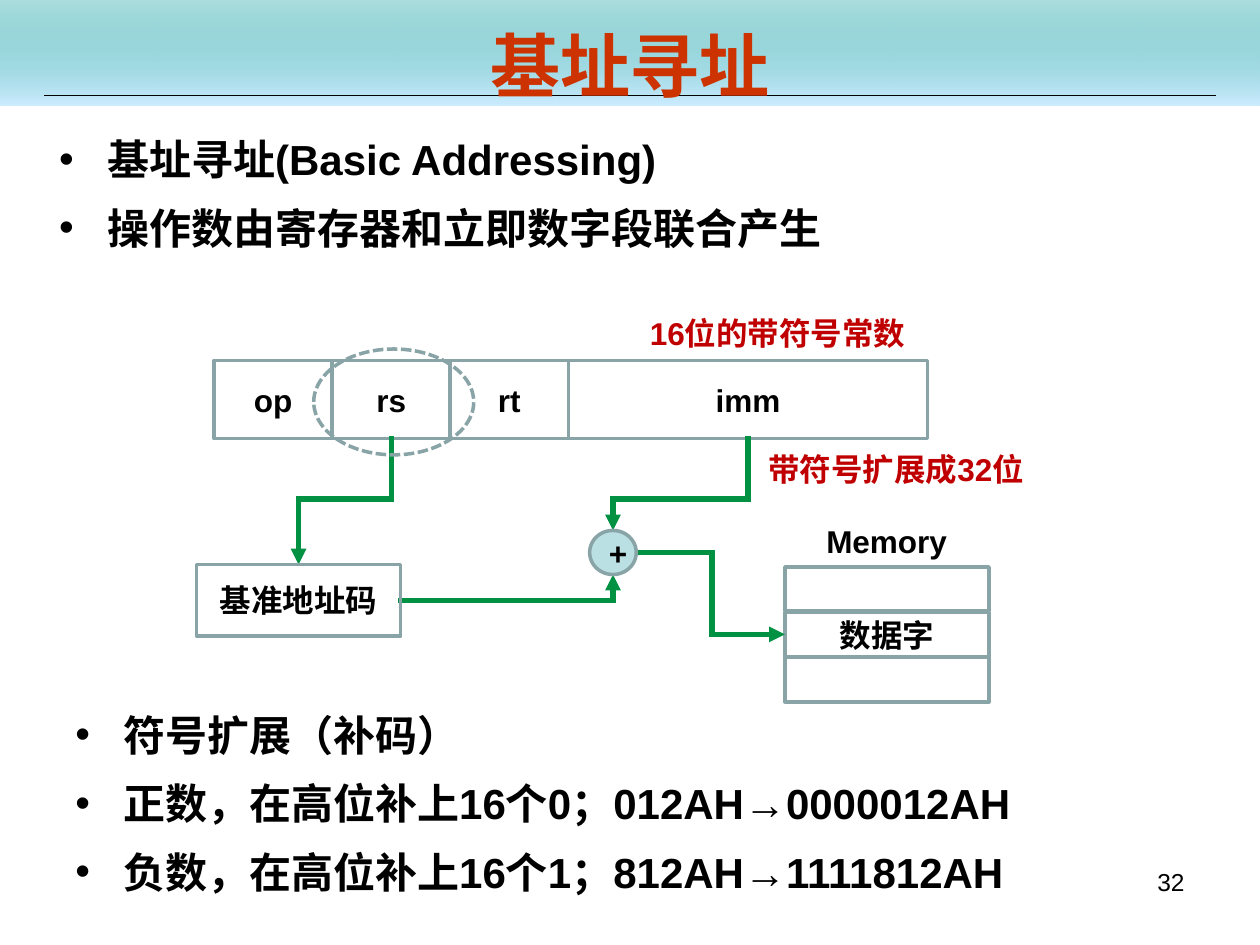
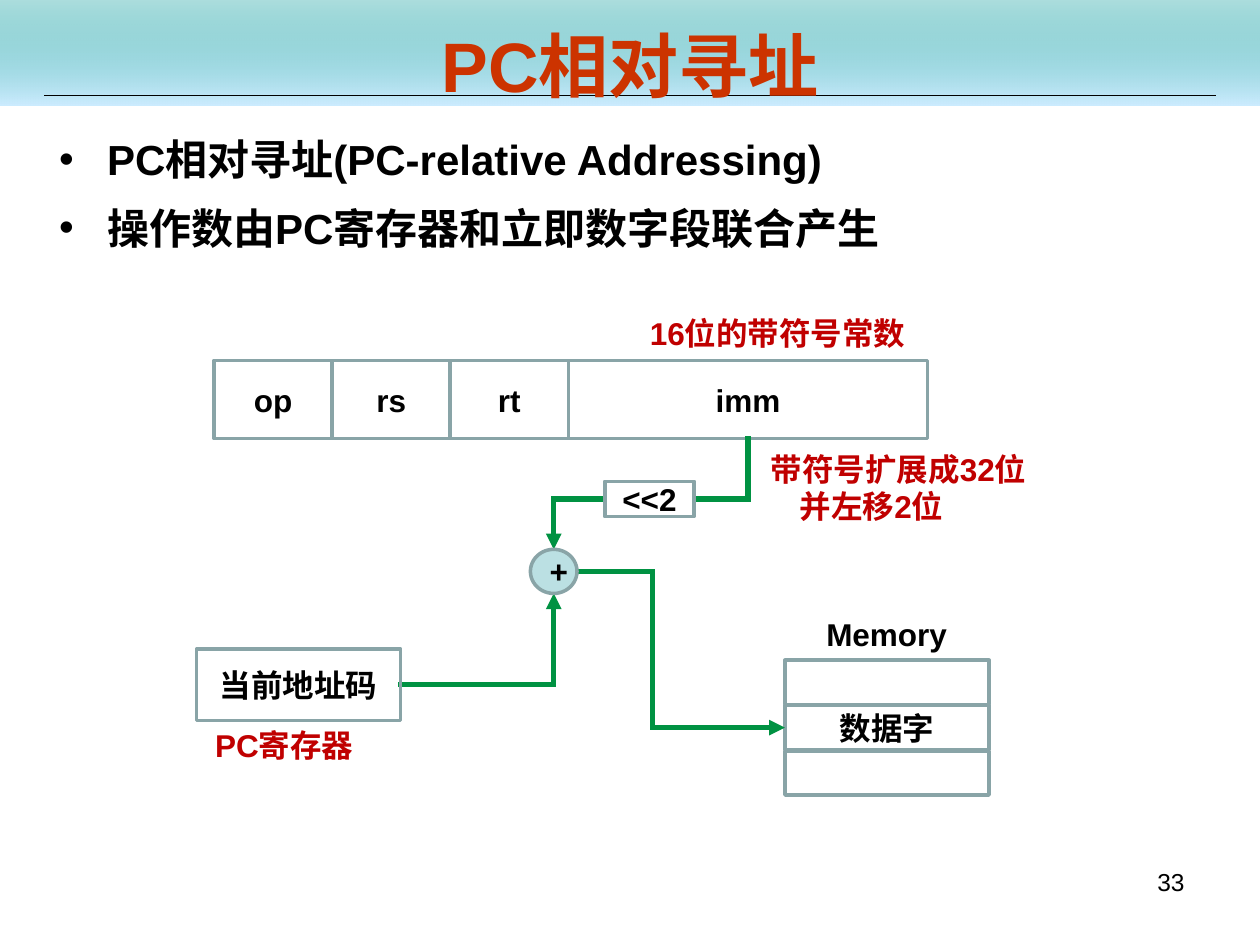
from dataclasses import dataclass
from itertools import pairwise

from lxml.etree import SubElement
from pptx import Presentation
from pptx.dml.color import RGBColor
from pptx.enum.dml import MSO_LINE
from pptx.enum.shapes import MSO_CONNECTOR, MSO_SHAPE
from pptx.enum.text import MSO_ANCHOR, MSO_AUTO_SIZE, PP_ALIGN
from pptx.oxml.ns import qn
from pptx.util import Inches, Pt

# Colours
BLACK = RGBColor(0x00, 0x00, 0x00)
TITLE_RED = RGBColor(0xCC, 0x33, 0x00)
NOTE_RED = RGBColor(0xC0, 0x00, 0x00)
BORDER = RGBColor(0x89, 0xA4, 0xA7)
ADDER_FILL = RGBColor(0xBB, 0xE0, 0xE3)
WIRE = RGBColor(0x00, 0x92, 0x42)
BAND_COLORS = RGBColor(0x00, 0x99, 0x99), RGBColor(0xCC, 0xEC, 0xFF)

# Text formats
TITLE_FONT = {"name": "Arial", "size": Pt(40), "bold": True}
LIST_FONT = {"name": "Arial", "size": Pt(24), "bold": True}
LABEL_FONT = {"name": "Arial", "size": Pt(18), "bold": True}
NUMBER_FONT = {"name": "Arial", "size": Pt(14), "bold": False}
LIST_INDENT = Inches(0.38)
SECOND_LINE_INDENT = Inches(0.23)

# Grid: every length below is in columns (100) or rows (75) of the slide
prs = Presentation()
prs.slide_width, prs.slide_height = Inches(10), Inches(7.5)
COL, ROW = prs.slide_width / 100, prs.slide_height / 75

Point = tuple[float, float]


@dataclass(frozen=True)
class Box:
    """A bordered part of the diagram, or the area of a text."""
    x: float
    y: float
    w: float
    h: float
    text: str = ""
    shape: MSO_SHAPE = MSO_SHAPE.RECTANGLE
    fill: RGBColor | None = None
    dash: MSO_LINE | None = None

    @property
    def right(self) -> float:
        return self.x + self.w

    @property
    def bottom(self) -> float:
        return self.y + self.h

    @property
    def mid_x(self) -> float:
        return self.x + self.w / 2

    @property
    def mid_y(self) -> float:
        return self.y + self.h / 2

    def emu(self) -> tuple[int, ...]:
        return (round(self.x * COL), round(self.y * ROW),
                round(self.w * COL), round(self.h * ROW))


@dataclass(frozen=True)
class Label:
    x: float
    y: float
    w: float
    lines: tuple[str, ...]
    color: RGBColor = NOTE_RED


@dataclass(frozen=True)
class Page:
    number: int
    title: str
    bullets: tuple[str, ...]


# Areas of the page
BAND = Box(0, 0, 100, 8.4)
RULE_START, RULE_END = (3.5, 7.6), (96.5, 7.6)
TITLE_AREA = Box(5, 2.1, 90, 6.1)
LIST_AREA = Box(3.7, 9.5, 90, 11.7)
CLOSING_AREA = Box(5, 55.2, 90, 18.6)
NUMBER_AREA = Box(71.7, 68.3, 23.3, 5.2)

# Instruction word: three equal fields, then the wide one
FIELD_X, FIELD_Y, FIELD_W, FIELD_H, IMM_W = 17, 28.6, 9.37, 6.2, 28.5
OP, RS, RT = (Box(FIELD_X + i * FIELD_W, FIELD_Y, FIELD_W, FIELD_H, name)
              for i, name in enumerate(("op", "rs", "rt")))
IMM = Box(RT.right, FIELD_Y, IMM_W, FIELD_H, "imm")

# Other parts that both diagrams use
MEMORY_WORDS = ("", "数据字", "")
MEMORY_X, MEMORY_W, MEMORY_H, MEMORY_PITCH = 62.3, 16.2, 3.5, 3.6
SOURCE_X, SOURCE_W, SOURCE_H = 15.6, 16.2, 5.7
TURN_Y = 39.6       # row where wires from the fields turn sideways
ADDER_RUN = 6       # columns a wire runs out of the adder before it turns


# Text
def write(tf, lines, font: dict, color=BLACK, align=PP_ALIGN.LEFT) -> None:
    for i, line in enumerate(lines):
        p = tf.add_paragraph() if i else tf.paragraphs[0]
        p.alignment = align
        r = p.add_run()
        r.text = line
        for name, value in font.items():
            setattr(r.font, name, value)
        r.font.color.rgb = color


def write_list(tf, lines: tuple[str, ...]) -> None:
    tf.word_wrap, tf.auto_size = True, MSO_AUTO_SIZE.NONE
    write(tf, lines, LIST_FONT)
    for p in tf.paragraphs:
        p.line_spacing, p.space_before = 1.15, Pt(6)
        pPr = p._p.get_or_add_pPr()
        pPr.set("marL", str(LIST_INDENT))
        pPr.set("indent", str(-LIST_INDENT))
        SubElement(pPr, qn("a:buFont"), typeface="Arial")
        SubElement(pPr, qn("a:buChar"), char="•")


def move(sp, area: Box) -> None:
    sp.left, sp.top, sp.width, sp.height = area.emu()


def draw_label(s, label: Label) -> None:
    area = Box(label.x, label.y, label.w, 1 + 3 * len(label.lines))
    tf = s.shapes.add_textbox(*area.emu()).text_frame
    tf.word_wrap, tf.auto_size = False, MSO_AUTO_SIZE.SHAPE_TO_FIT_TEXT
    write(tf, label.lines, LABEL_FONT, label.color)
    for p in tf.paragraphs[1:]:
        p._p.get_or_add_pPr().set("marL", str(SECOND_LINE_INDENT))


# Boxes and wires
def draw_box(s, box: Box) -> None:
    sp = s.shapes.add_shape(box.shape, *box.emu())
    sp.shadow.inherit = False
    if box.fill is None:
        sp.fill.background()
    else:
        sp.fill.solid()
        sp.fill.fore_color.rgb = box.fill
    sp.line.color.rgb, sp.line.width = BORDER, Pt(2)
    if box.dash:
        sp.line.dash_style = box.dash
    if box.text:
        sp.text_frame.vertical_anchor = MSO_ANCHOR.MIDDLE
        write(sp.text_frame, [box.text], LABEL_FONT, align=PP_ALIGN.CENTER)


def draw_line(s, start: Point, end: Point, color: RGBColor, width: float):
    ends = (round(v * unit) for point in (start, end)
            for v, unit in zip(point, (COL, ROW)))
    cx = s.shapes.add_connector(MSO_CONNECTOR.STRAIGHT, *ends)
    cx.line.color.rgb, cx.line.width = color, Pt(width)
    SubElement(cx._element.spPr, qn("a:effectLst"))
    return cx


def draw_wire(s, *points: Point, arrow: bool = True) -> None:
    """Join the points; square caps close the corners, the last leg has the arrow."""
    legs = list(pairwise(points))
    for i, (start, end) in enumerate(legs, 1):
        ln = draw_line(s, start, end, WIRE, 3).line._get_or_add_ln()
        if i < len(legs):
            ln.set("cap", "sq")
        elif arrow:
            SubElement(ln, qn("a:tailEnd"), type="triangle")


def wire_down(s, src: Box, dst: Box) -> None:
    draw_wire(s, (src.mid_x, src.bottom), (src.mid_x, TURN_Y),
              (dst.mid_x, TURN_Y), (dst.mid_x, dst.y))


def wire_up(s, src: Box, dst: Box) -> None:
    draw_wire(s, (src.right, src.mid_y), (dst.mid_x, src.mid_y),
              (dst.mid_x, dst.bottom))


def wire_step(s, src: Box, dst: Box) -> None:
    turn_x = src.right + ADDER_RUN
    draw_wire(s, (src.right, src.mid_y), (turn_x, src.mid_y),
              (turn_x, dst.mid_y), (dst.x, dst.mid_y))


# Parts of the diagrams
def make_adder(x: float, y: float) -> Box:
    return Box(x, y, 3.7, 3.5, "+", MSO_SHAPE.FLOWCHART_CONNECTOR, ADDER_FILL)


def make_source(y: float, text: str) -> Box:
    return Box(SOURCE_X, y, SOURCE_W, SOURCE_H, text)


def draw_instruction(s) -> None:
    for field in (OP, RS, RT, IMM):
        draw_box(s, field)
    draw_label(s, Label(50.6, 24.4, 22.9, ("16位的带符号常数",)))


def draw_memory(s, y: float) -> Box:
    """Draw the memory cells and return the one that is addressed."""
    cells = [Box(MEMORY_X, y + i * MEMORY_PITCH, MEMORY_W, MEMORY_H, word)
             for i, word in enumerate(MEMORY_WORDS)]
    for cell in cells:
        draw_box(s, cell)
    draw_label(s, Label(64.6, y - 4.1, 11.6, ("Memory",), BLACK))
    return next(cell for cell in cells if cell.text)


def draw_sum(s, source: Box, adder: Box, memory_y: float) -> None:
    """Draw the source box, the adder and the wires that join them to memory."""
    data = draw_memory(s, memory_y)
    wire_up(s, source, adder)
    wire_step(s, adder, data)
    for box in (source, adder):
        draw_box(s, box)


# Pages
def add_band(s) -> None:
    """Draw the header band and rule, then hand them to the layout."""
    band = s.shapes.add_shape(MSO_SHAPE.RECTANGLE, *BAND.emu())
    band.shadow.inherit = False
    band.line.fill.background()
    band.fill.gradient()
    band.fill.gradient_angle = 270
    for stop, color in zip(band.fill.gradient_stops, BAND_COLORS):
        stop.color.rgb = color
    top_color = next(band._element.iter(qn("a:srgbClr")))
    SubElement(top_color, qn("a:alpha"), val="32000")
    rule = draw_line(s, RULE_START, RULE_END, BLACK, 0.75)
    tree = s.slide_layout.shapes._spTree
    for i, sp in enumerate((band, rule), 2):
        tree.insert(i, sp._element)


def add_page(page: Page):
    s = prs.slides.add_slide(prs.slide_layouts[1])
    title, body = s.shapes.title, s.placeholders[1]
    move(title, TITLE_AREA)
    tf = title.text_frame
    tf.vertical_anchor, tf.auto_size = MSO_ANCHOR.MIDDLE, MSO_AUTO_SIZE.NONE
    write(tf, [page.title], TITLE_FONT, TITLE_RED, PP_ALIGN.CENTER)
    move(body, LIST_AREA)
    write_list(body.text_frame, page.bullets)
    tf = s.shapes.add_textbox(*NUMBER_AREA.emu()).text_frame
    tf.word_wrap = True
    write(tf, [str(page.number)], NUMBER_FONT, align=PP_ALIGN.RIGHT)
    draw_instruction(s)
    return s


# Base addressing: register rs selects the base, imm is added to it
s = add_page(Page(32, "基址寻址", (
    "基址寻址(Basic Addressing)",
    "操作数由寄存器和立即数字段联合产生")))
add_band(s)
base, adder = make_source(44.8, "基准地址码"), make_adder(46.8, 42.1)
wire_down(s, RS, base)
wire_down(s, IMM, adder)
draw_sum(s, base, adder, memory_y=45)
draw_box(s, Box(24.9, 27.7, 12.7, 8.4, shape=MSO_SHAPE.OVAL,
                dash=MSO_LINE.SQUARE_DOT))
draw_label(s, Label(60, 35.2, 23.5, ("带符号扩展成32位",)))
write_list(s.shapes.add_textbox(*CLOSING_AREA.emu()).text_frame, (
    "符号扩展（补码）",
    "正数，在高位补上16个0；012AH→0000012AH",
    "负数，在高位补上16个1；812AH→1111812AH"))

# PC-relative addressing: imm is shifted, then added to the PC
s = add_page(Page(33, "PC相对寻址", (
    "PC相对寻址(PC-relative Addressing)",
    "操作数由PC寄存器和立即数字段联合产生")))
pc, adder = make_source(51.5, "当前地址码"), make_adder(42.1, 43.6)
shift = Box(48, TURN_Y - 1.4, 7.1, 2.8, "<<2")
draw_wire(s, (IMM.mid_x, IMM.bottom), (IMM.mid_x, TURN_Y),
          (shift.right, TURN_Y), arrow=False)
draw_wire(s, (shift.x, TURN_Y), (adder.mid_x, TURN_Y), (adder.mid_x, adder.y))
draw_box(s, shift)
draw_sum(s, pc, adder, memory_y=52.4)
draw_label(s, Label(60.2, 35.2, 23.5, ("带符号扩展成32位", "并左移2位")))
draw_label(s, Label(16.1, 57.1, 15, ("PC寄存器",)))

prs.save("out.pptx")
